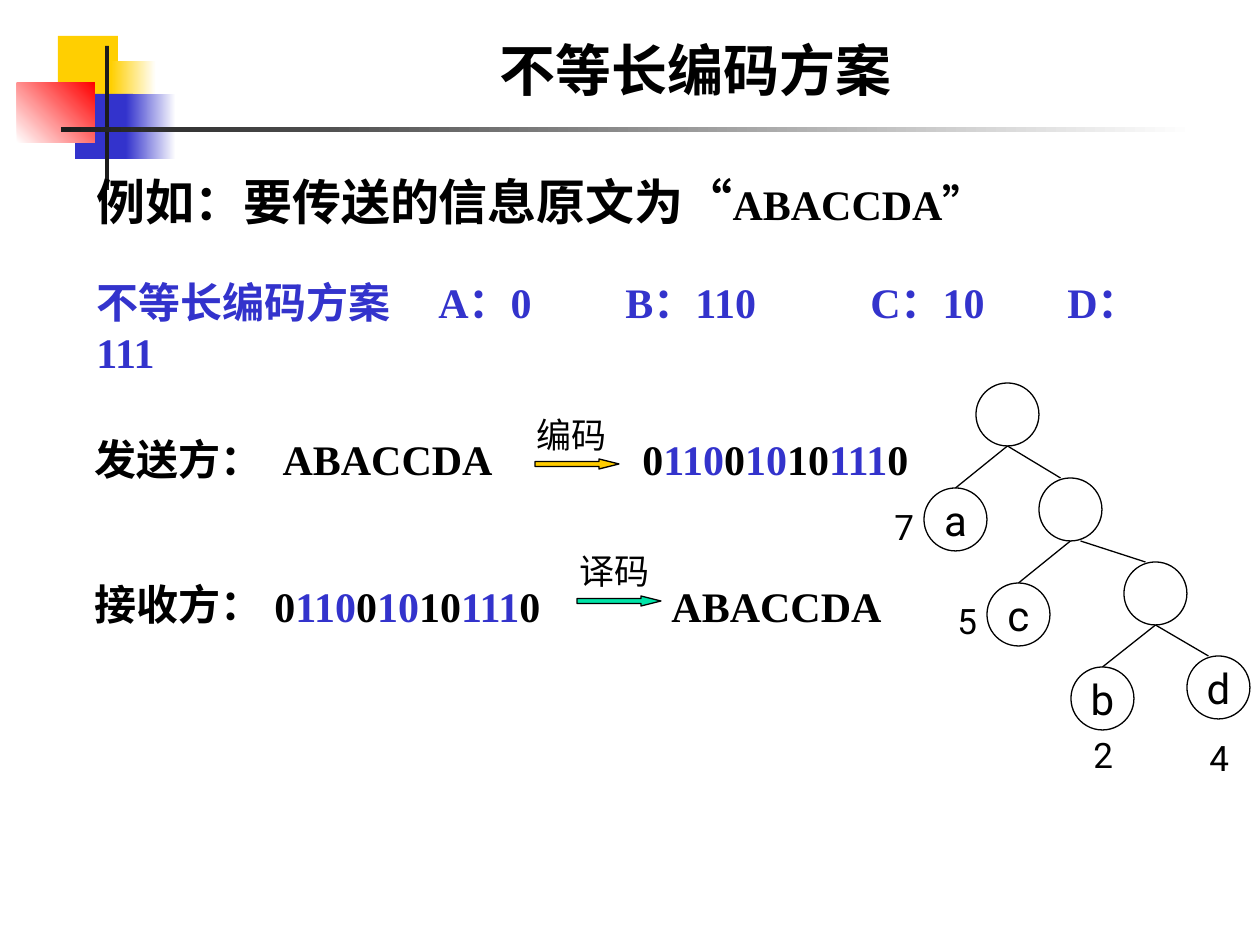
"""Build the slide on variable-length coding with its code tree."""
from lxml import etree
from pptx import Presentation
from pptx.dml.color import RGBColor
from pptx.enum.lang import MSO_LANGUAGE_ID
from pptx.enum.shapes import MSO_CONNECTOR, MSO_SHAPE
from pptx.enum.text import MSO_ANCHOR, MSO_AUTO_SIZE, PP_ALIGN
from pptx.oxml.ns import qn
from pptx.util import Pt

RECTANGLE, ELLIPSE, ARROW = MSO_SHAPE.RECTANGLE, MSO_SHAPE.OVAL, MSO_SHAPE.RIGHT_ARROW
STRAIGHT = MSO_CONNECTOR.STRAIGHT
LEFT, CENTER = PP_ALIGN.LEFT, PP_ALIGN.CENTER
BOTTOM, MIDDLE = MSO_ANCHOR.BOTTOM, MSO_ANCHOR.MIDDLE
FIXED, GROW = MSO_AUTO_SIZE.NONE, MSO_AUTO_SIZE.SHAPE_TO_FIT_TEXT
CHINESE = MSO_LANGUAGE_ID.SIMPLIFIED_CHINESE

SCALE = 914400 / 126
NODE_SIZE = 63
LINE_WIDTH = Pt(0.75)

THEME = {
    "colors": {
        "black": "000000", "white": "FFFFFF", "blue": "3333CC", "yellow": "FFCF01",
        "red": "FF0000", "dark": "1C1C1C", "gold": "FFCC00", "green": "00E4A8",
    },
    "fonts": {
        "title": {"name": "Roboto", "size": Pt(32), "bold": True},
        "lead": {"name": "Times New Roman", "size": Pt(28), "bold": True},
        "body": {"name": "Times New Roman", "size": Pt(24), "bold": True},
        "label": {"name": "Roboto", "size": Pt(20), "bold": False},
        "node": {"name": "Roboto", "size": Pt(24), "bold": False},
    },
}

TITLE = ("不等长编码方案", (159, 52, 1073, 57))
DECORATION = [
    ((58, 36, 60, 65), ("yellow",), 0),
    ((111, 61, 45, 65), ("yellow", "white"), 0),
    ((75, 94, 58, 65), ("blue",), 0),
    ((126, 94, 50, 65), ("blue", "white"), 0),
    ((17, 83, 78, 60), ("white", "red"), 45),
    ((105, 46, 4, 144), ("dark",), 0),
    ((61, 127, 1134, 5), ("dark", "white"), 0),
]

MESSAGE = [(" ABACCDA", "body", "black")]
CODE = [
    (bits, "body", color)
    for bits, color in [
        ("0", "black"), ("110", "blue"), ("0", "black"), ("10", "blue"),
        ("10", "black"), ("111", "blue"), ("0", "black"),
    ]
]
SCHEME_TABS = (342, 529, 774, 971)
TEXTS = [
    ((73, 165, 1144, 72), LEFT, [
        (" 例如：要传送的信息原文为“", "lead", "black"), ("ABACCDA”", "body", "black")]),
    ((84, 270, 1113, 113), LEFT, [
        ("不等长编码方案\tA：0\tB：110\tC：10\tD：111", "body", "blue")]),
    ((73, 427, 249, 63), LEFT, [(" 发送方：", "body", "black")]),
    ((73, 572, 229, 63), LEFT, [(" 接收方：", "body", "black")]),
    ((630, 427, 336, 63), LEFT, CODE),
    ((262, 427, 252, 63), LEFT, MESSAGE),
    ((262, 574, 336, 63), LEFT, CODE),
    ((651, 574, 252, 63), LEFT, MESSAGE),
    ((514, 407, 116, 55), CENTER, [("编码", "label", "black")]),
    ((557, 543, 116, 55), CENTER, [("译码", "label", "black")]),
]
ARROWS = [((535, 459, 84, 10), "gold"), ((577, 596, 84, 10), "green")]

NODES = {
    "root": (976, 383, ""), "right": (1039, 478, ""), "lower": (1124, 562, ""),
    "a": (924, 488, "a"), "c": (987, 583, "c"), "b": (1071, 667, "b"), "d": (1187, 656, "d"),
}
EDGES = [
    ("root", "a", 0, 0), ("root", "right", 0, -10), ("right", "c", 0, 0),
    ("right", "lower", 10, -10), ("lower", "b", 0, 0), ("lower", "d", 0, -10),
]
WEIGHTS = [("7", 882, 499), ("5", 945, 593), ("2", 1081, 727), ("4", 1197, 730)]


def px(*lengths):
    return [round(length * SCALE) for length in lengths]


def rgb(name):
    return RGBColor.from_string(THEME["colors"][name])


def set_all(target, values):
    for name, value in values.items():
        setattr(target, name, value)


def write(shape, runs, alignment, frame_format, tabs=()):
    frame = shape.text_frame
    set_all(frame, frame_format)
    paragraph = frame.paragraphs[0]
    paragraph.alignment = alignment
    if tabs:
        tab_list = etree.SubElement(paragraph._p.get_or_add_pPr(), qn("a:tabLst"))
        for position in px(*tabs):
            etree.SubElement(tab_list, qn("a:tab"), pos=str(position), algn="l")
    for text, style, color in runs:
        run = paragraph.add_run()
        run.text = text
        set_all(run.font, {**THEME["fonts"][style], "language_id": CHINESE})
        run.font.color.rgb = rgb(color)


def add_text(shapes, box, alignment, runs):
    tabs = SCHEME_TABS if "\t" in runs[0][0] else ()
    write(shapes.add_textbox(*px(*box)), runs, alignment,
          {"word_wrap": True, "auto_size": GROW}, tabs)


def add_preset(shapes, kind, box, colors=(), angle=0, outlined=False):
    shape = shapes.add_shape(kind, *px(*box))
    shape.shadow.inherit = False
    if len(colors) == 2:
        shape.fill.gradient()
        shape.fill.gradient_angle = angle
        for stop, color in zip(shape.fill.gradient_stops, colors):
            stop.color.rgb = rgb(color)
    elif colors:
        shape.fill.solid()
        shape.fill.fore_color.rgb = rgb(colors[0])
    else:
        shape.fill.background()
    if outlined:
        shape.line.color.rgb = rgb("black")
        shape.line.width = LINE_WIDTH
    else:
        shape.line.fill.background()
    return shape


def add_tree(shapes):
    for parent, child, start_shift, end_shift in EDGES:
        start_x, start_y, _ = NODES[parent]
        end_x, end_y, _ = NODES[child]
        middle = NODE_SIZE / 2
        edge = shapes.add_connector(STRAIGHT, *px(
            start_x + middle + start_shift, start_y + NODE_SIZE,
            end_x + middle + end_shift, end_y))
        edge.line.color.rgb = rgb("black")
        edge.line.width = LINE_WIDTH
        etree.SubElement(edge._element.spPr, qn("a:effectLst"))
    margins = dict.fromkeys(("margin_left", "margin_top", "margin_right", "margin_bottom"), 0)
    for left, top, letter in NODES.values():
        node = add_preset(shapes, ELLIPSE, (left, top, NODE_SIZE, NODE_SIZE), outlined=True)
        if letter:
            write(node, [(letter, "node", "black")], CENTER,
                  {"word_wrap": False, "vertical_anchor": MIDDLE, **margins})
    for weight, left, top in WEIGHTS:
        add_text(shapes, (left, top, 42, 55), LEFT, [(weight, "label", "black")])


def main():
    presentation = Presentation()
    presentation.slide_width, presentation.slide_height = px(1260, 945)
    slide = presentation.slides.add_slide(presentation.slide_layouts[5])
    shapes = slide.shapes
    for box, colors, angle in DECORATION:
        add_preset(shapes, RECTANGLE, box, colors, angle)
    text, box = TITLE
    title = shapes.title
    set_all(title, dict(zip(("left", "top", "width", "height"), px(*box))))
    write(title, [(text, "title", "black")], CENTER,
          {"vertical_anchor": BOTTOM, "auto_size": FIXED, "word_wrap": True})
    for box, alignment, runs in TEXTS:
        add_text(shapes, box, alignment, runs)
    for box, color in ARROWS:
        arrow = add_preset(shapes, ARROW, box, (color,), outlined=True)
        arrow.adjustments[1] = 2
    add_tree(shapes.add_group_shape().shapes)
    presentation.save("out.pptx")


if __name__ == "__main__":
    main()
